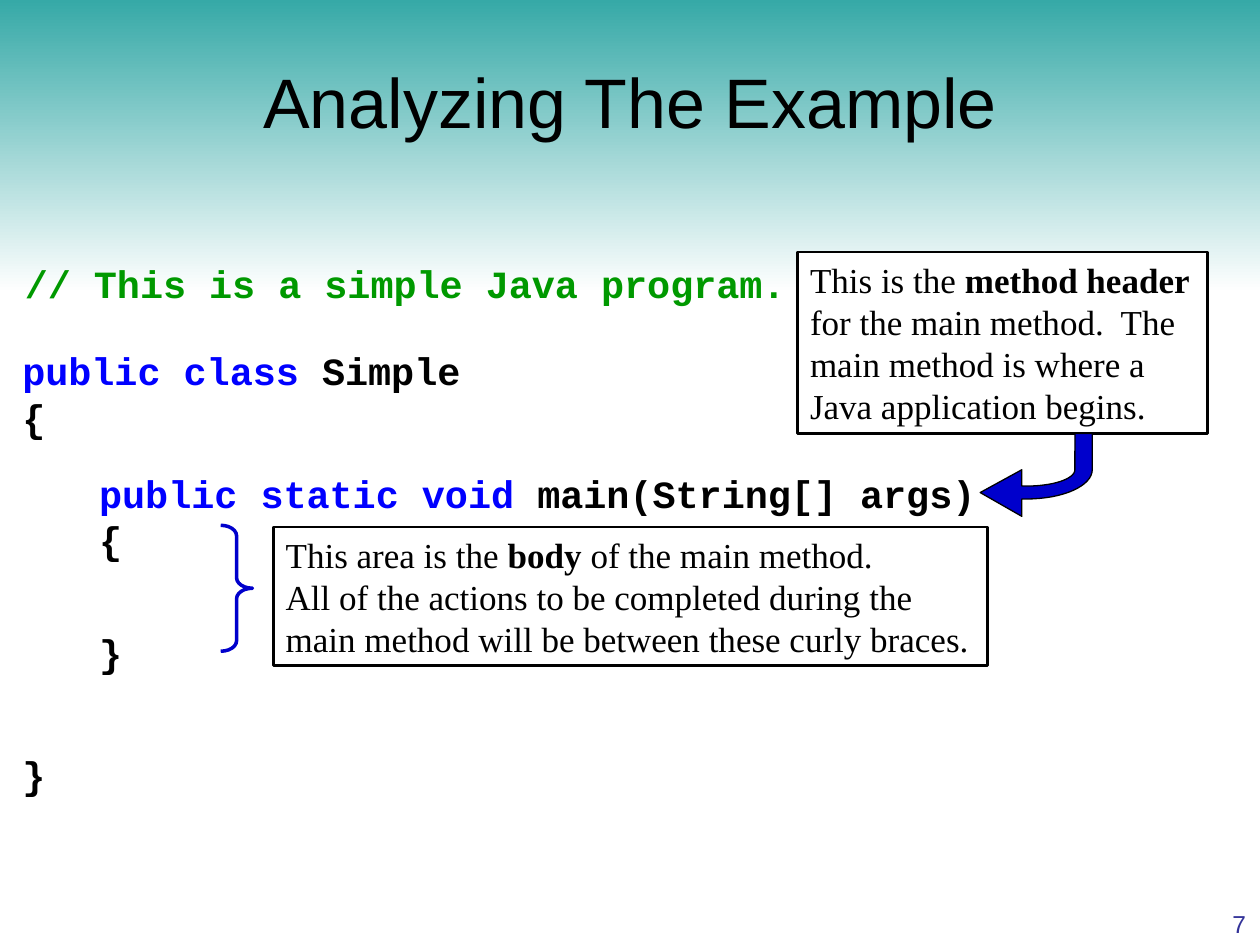
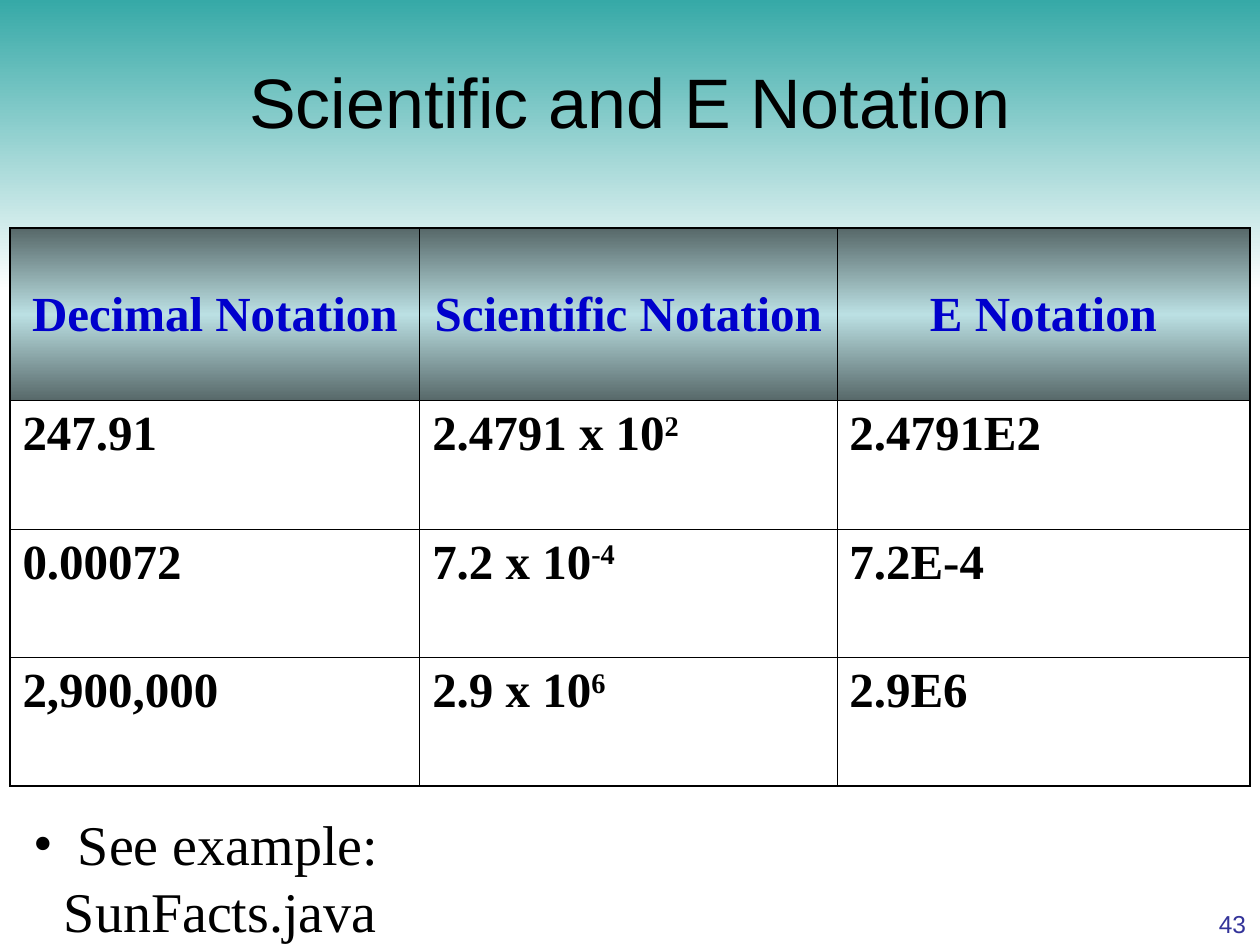
import math
from dataclasses import dataclass
from typing import Optional

import lxml.etree
import pptx
import pptx.dml.color
import pptx.enum.shapes
import pptx.enum.text
import pptx.oxml.ns
import pptx.util

Cm = pptx.util.Cm
Pt = pptx.util.Pt
qn = pptx.oxml.ns.qn
ALIGN = pptx.enum.text.PP_ALIGN
ANCHOR = pptx.enum.text.MSO_ANCHOR
SHAPE = pptx.enum.shapes.MSO_SHAPE

COLORS = {
    "teal": "36A9A7",
    "white": "FFFFFF",
    "black": "000000",
    "number": "333399",
    "comment": "009900",
    "keyword": "0000FF",
    "accent": "0000CC",
    "header_edge": "576869",
    "header_middle": "BBE0E3",
}
SANS, MONO, SERIF = "Arial", "Courier New", "Times New Roman"


@dataclass(frozen=True)
class Area:
    """Left, top, width and height in centimetres."""
    left: float
    top: float
    width: float
    height: float

    def lengths(self) -> tuple:
        return Cm(self.left), Cm(self.top), Cm(self.width), Cm(self.height)


@dataclass(frozen=True)
class Style:
    name: str
    size: float
    color: str = "black"
    bold: bool = False
    align: Optional[int] = None


@dataclass(frozen=True)
class Span:
    text: str
    color: Optional[str] = None
    bold: Optional[bool] = None
    raised: bool = False


@dataclass(frozen=True)
class Line:
    spans: tuple
    before: float = 0
    bullet: bool = False


@dataclass(frozen=True)
class TextBox:
    area: Area
    style: Style
    lines: tuple
    anchor: int = ANCHOR.TOP
    outline: float = 0
    fill: Optional[str] = None


TITLE = Style(SANS, 40, align=ALIGN.CENTER)
NUMBER = Style(SANS, 14, "number", align=ALIGN.RIGHT)
CODE = Style(MONO, 22, bold=True)
NOTE = Style(SERIF, 20)
TABLE_HEAD = Style(SERIF, 28, "accent", True, ALIGN.CENTER)
TABLE_BODY = Style(SERIF, 28, bold=True)
BULLET_INDENT = 0.61


def line(*spans: object, before: float = 0, bullet: bool = False) -> Line:
    """Make a line from plain strings and spans."""
    return Line(tuple(span if isinstance(span, Span) else Span(span) for span in spans),
                before, bullet)


def rgb(color: str) -> pptx.dml.color.RGBColor:
    return pptx.dml.color.RGBColor.from_string(COLORS[color])


# Text
def add_bullet(paragraph, font_name: str) -> None:
    properties = paragraph._p.get_or_add_pPr()
    properties.set("marL", str(Cm(BULLET_INDENT)))
    properties.set("indent", str(-Cm(BULLET_INDENT)))
    lxml.etree.SubElement(properties, qn("a:buFont")).set("typeface", font_name)
    lxml.etree.SubElement(properties, qn("a:buChar")).set("char", "•")


def write_lines(frame, lines: tuple, style: Style) -> None:
    for index, entry in enumerate(lines):
        paragraph = frame.add_paragraph() if index else frame.paragraphs[0]
        if entry.bullet:
            add_bullet(paragraph, style.name)
        if entry.before:
            paragraph.space_before = Pt(entry.before)
        paragraph.alignment = style.align
        font = paragraph.font
        font.name, font.size, font.bold = style.name, Pt(style.size), style.bold
        font.color.rgb = rgb(style.color)
        for span in entry.spans:
            run = paragraph.add_run()
            run.text = span.text
            if span.color:
                run.font.color.rgb = rgb(span.color)
            if span.bold is not None:
                run.font.bold = span.bold
            if span.raised:
                run.font._element.set("baseline", "30000")


def add_text(page, item: TextBox) -> None:
    box = page.shapes.add_textbox(*item.area.lengths())
    frame = box.text_frame
    frame.word_wrap = True
    frame.vertical_anchor = item.anchor
    if item.fill:
        box.fill.solid()
        box.fill.fore_color.rgb = rgb(item.fill)
    if item.outline:
        box.line.width = Pt(item.outline)
        box.line.color.rgb = rgb("black")
    write_lines(frame, item.lines, item.style)


# Fills and borders
def fill_gradient(fill, owner, colors: tuple) -> None:
    """Fill from top to bottom with evenly spaced colours."""
    fill.gradient()
    fill.gradient_angle = 270
    stops = owner.find(qn("a:gradFill")).find(qn("a:gsLst"))
    for stop in list(stops):
        stops.remove(stop)
    for index, color in enumerate(colors):
        stop = lxml.etree.SubElement(stops, qn("a:gs"))
        stop.set("pos", str(index * 100000 // (len(colors) - 1)))
        lxml.etree.SubElement(stop, qn("a:srgbClr")).set("val", COLORS[color])


def add_border(cell, side: str, width: float) -> None:
    border = lxml.etree.SubElement(cell._tc.get_or_add_tcPr(), qn(f"a:ln{side}"))
    border.set("w", str(Pt(width)))
    solid = lxml.etree.SubElement(border, qn("a:solidFill"))
    lxml.etree.SubElement(solid, qn("a:srgbClr")).set("val", COLORS["black"])


# Parts shared by the slides
def add_page(deck, title: str, number: int):
    page = deck.slides.add_slide(deck.slide_layouts[6])
    band = page.shapes.add_shape(SHAPE.RECTANGLE, *Area(0, 0, 25.4, 5.9).lengths())
    band.shadow.inherit = False
    band.line.fill.background()
    fill_gradient(band.fill, band._element.spPr, ("teal", "white"))
    add_text(page, TextBox(Area(23.47, 18.21, 1.9, 0.84), NUMBER, (line(str(number)),),
                           ANCHOR.BOTTOM))
    add_text(page, TextBox(Area(0, 0.64, 25.4, 2.77), TITLE, (line(title),), ANCHOR.MIDDLE))
    return page


# Slide with the annotated program
CODE_BOXES = (
    TextBox(Area(0.25, 5.11, 15.85, 1.19), CODE,
            (line(Span("// This is a simple Java program.", "comment")),)),
    TextBox(Area(0.2, 6.88, 9.96, 9.32), CODE,
            (line(Span("public class ", "keyword"), "Simple"), line("{"),
             line("}", before=178))),
    TextBox(Area(1.75, 9.35, 18.5, 5.49), CODE,
            (line(Span("public static void ", "keyword"), "main(String[] args)"), line("{"),
             line("}", before=38))),
)
NOTES = (
    TextBox(Area(5.51, 10.62, 14.4, 2.79), NOTE,
            (line("This area is the ", Span("body", bold=True), " of the main method."),
             line("All of the actions to be completed during the"),
             line("main method will be between these curly braces.")),
            outline=1.5),
    TextBox(Area(16.08, 5.08, 8.26, 3.66), NOTE,
            (line("This is the ", Span("method header", bold=True)),
             line("for the main method.  The"),
             line("main method is where a Java application begins.")),
            outline=1.5, fill="white"),
)


def add_body_brace(page) -> None:
    brace = page.shapes.add_shape(SHAPE.RIGHT_BRACE, *Area(4.45, 10.59, 0.64, 2.54).lengths())
    brace.shadow.inherit = False
    brace.adjustments[0] = 0.33
    brace.fill.background()
    brace.line.width = Pt(2)
    brace.line.color.rgb = rgb("accent")


def bend(radius_x: float, radius_y: float, steps: int = 16) -> list:
    """Points of a quarter ellipse, from its bottom to its right end."""
    angles = [math.pi / 2 * step / steps for step in range(steps + 1)]
    return [(20.7 + radius_x * math.sin(angle), 9.47 + radius_y * math.cos(angle))
            for angle in angles]


def add_header_arrow(page) -> None:
    outer, inner = bend(1.32, 0.59), bend(0.97, 0.33)
    points = [(19.76, 9.93), (20.6, 10.41), (20.6, 10.06), *outer,
              (22.02, 8.74), (21.67, 8.74), *reversed(inner), (20.6, 9.8), (20.6, 9.47)]
    corners = [(Cm(x), Cm(y)) for x, y in points]
    builder = page.shapes.build_freeform(*corners[0])
    builder.add_line_segments(corners[1:], close=True)
    arrow = builder.convert_to_shape()
    arrow.shadow.inherit = False
    arrow.fill.solid()
    arrow.fill.fore_color.rgb = rgb("accent")
    arrow.line.width = Pt(0.75)
    arrow.line.color.rgb = rgb("black")


def build_example_page(deck) -> None:
    page = add_page(deck, "Analyzing The Example", 7)
    for item in CODE_BOXES + NOTES:
        add_text(page, item)
    add_body_brace(page)
    add_header_arrow(page)


# Slide with the notation table
COLUMN_WIDTHS = (8.26, 8.41, 8.33)
ROW_HEIGHTS = (3.48, 2.59, 2.59, 2.59)
HEADINGS = ("Decimal Notation", "Scientific Notation", "E Notation")
NUMBERS = (
    ("247.91", "2.4791", "2"),
    ("0.00072", "7.2", "-4"),
    ("2,900,000", "2.9", "6"),
)


def add_notation_table(page) -> None:
    rows = [[line(heading) for heading in HEADINGS]]
    for decimal, factor, power in NUMBERS:
        rows.append([line(decimal), line(f"{factor} x 10", Span(power, raised=True)),
                     line(f"{factor}E{power}")])
    area = Area(0.2, 4.6, sum(COLUMN_WIDTHS), sum(ROW_HEIGHTS))
    table = page.shapes.add_table(len(rows), len(HEADINGS), *area.lengths()).table
    table.first_row = table.horz_banding = False
    for column, width in zip(table.columns, COLUMN_WIDTHS):
        column.width = Cm(width)
    for row, height in zip(table.rows, ROW_HEIGHTS):
        row.height = Cm(height)
    last_row, last_column = len(rows) - 1, len(HEADINGS) - 1
    for r, entries in enumerate(rows):
        for c, entry in enumerate(entries):
            cell = table.cell(r, c)
            outer_sides = {"L": c == 0, "R": c == last_column, "T": r == 0, "B": r == last_row}
            for side, is_outer in outer_sides.items():
                add_border(cell, side, 1.08 if is_outer else 0.45)
            if r == 0:
                cell.vertical_anchor = ANCHOR.MIDDLE
                fill_gradient(cell.fill, cell._tc.get_or_add_tcPr(),
                              ("header_edge", "header_middle", "header_edge"))
            else:
                cell.fill.background()
            write_lines(cell.text_frame, (entry,), TABLE_BODY if r else TABLE_HEAD)


def build_notation_page(deck) -> None:
    page = add_page(deck, "Scientific and E Notation", 43)
    add_notation_table(page)
    add_text(page, TextBox(Area(0.43, 16.2, 11, 2.8), Style(SERIF, 32),
                           (line(" See example: SunFacts.java", bullet=True),)))


def main() -> None:
    deck = pptx.Presentation()
    deck.slide_width, deck.slide_height = Cm(25.4), Cm(19.05)
    build_example_page(deck)
    build_notation_page(deck)
    deck.save("out.pptx")


if __name__ == "__main__":
    main()
